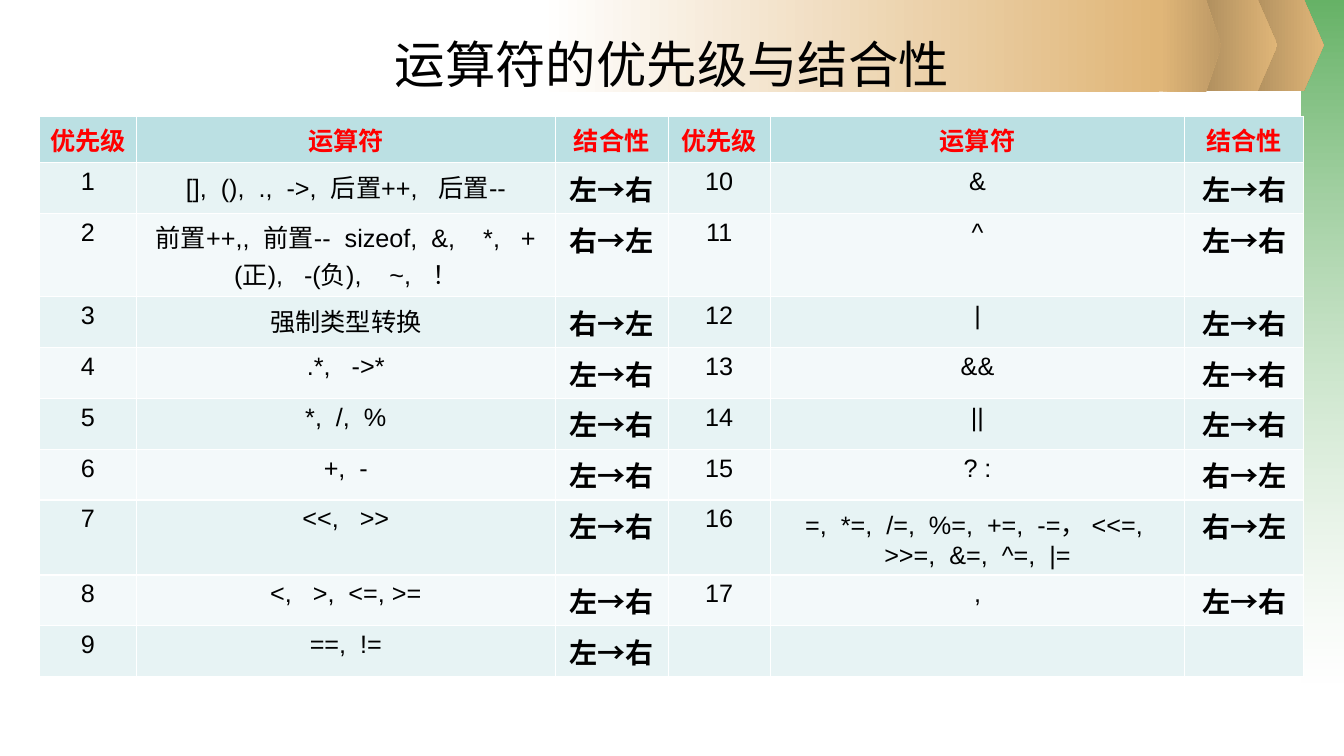
from lxml.etree import SubElement
from pptx import Presentation
from pptx.dml.color import RGBColor
from pptx.enum.shapes import MSO_SHAPE
from pptx.enum.text import MSO_ANCHOR, PP_ALIGN
from pptx.oxml.ns import qn
from pptx.util import Pt

BLACK = RGBColor(0x00, 0x00, 0x00)
WHITE = RGBColor(0xFF, 0xFF, 0xFF)
RED = RGBColor(0xFF, 0x00, 0x00)
GREEN = RGBColor(0x33, 0x99, 0x33)
GOLD = RGBColor(0xE0, 0xB6, 0x78)
DARK_GOLD = RGBColor(0xBD, 0x99, 0x65)
BROWN = RGBColor(0xAB, 0x8B, 0x5C)
HEADER_FILL = RGBColor(0xBB, 0xE0, 0xE3)
BAND_FILLS = [RGBColor(0xF3, 0xF9, 0xFA), RGBColor(0xE7, 0xF3, 0xF4)]


def write_text(text_frame, text, size=18, color=BLACK, bold=False):
    paragraph = text_frame.paragraphs[0]
    paragraph.alignment = PP_ALIGN.CENTER
    run = paragraph.add_run()
    run.text = text
    run.font.name = "Arial"
    run.font.size = Pt(size)
    run.font.bold = bold
    run.font.color.rgb = color


def add_gradient_shape(kind, left, top, width, height, colors, angle=0, opacities=()):
    shape = slide.shapes.add_shape(kind, Pt(left), Pt(top), Pt(width), Pt(height))
    shape.shadow.inherit = False
    shape.line.fill.background()
    shape.fill.gradient()
    shape.fill.gradient_angle = angle
    for stop, color, position in zip(shape.fill.gradient_stops, colors, (0, 1)):
        stop.color.rgb = color
        stop.position = position
    for color_element, opacity in zip(shape.element.spPr.iter(qn("a:srgbClr")), opacities):
        SubElement(color_element, qn("a:alpha"), val=str(opacity * 1000))
    if kind == MSO_SHAPE.PENTAGON:
        shape.adjustments[0] = 0.25


presentation = Presentation()
presentation.slide_width = Pt(960)
presentation.slide_height = Pt(540)
slide = presentation.slides.add_slide(presentation.slide_layouts[5])

# Side strip and banner of arrows
add_gradient_shape(MSO_SHAPE.RECTANGLE, 930, 0, 30, 487.5, (GREEN, WHITE),
                   angle=270, opacities=(75, 37))
for arrow_left in (888.5, 855.5):
    add_gradient_shape(MSO_SHAPE.PENTAGON, arrow_left, -0.5, 57, 65.5, (BROWN, GOLD))
add_gradient_shape(MSO_SHAPE.RECTANGLE, 386, 0, 442, 65.5, (WHITE, GOLD))
add_gradient_shape(MSO_SHAPE.PENTAGON, 828, 0, 44.5, 65.5, (GOLD, DARK_GOLD))

# Title, brought in front of the banner
title = slide.shapes.title
title.left, title.top, title.width, title.height = Pt(48), Pt(20), Pt(864), Pt(90)
title.text_frame.vertical_anchor = MSO_ANCHOR.TOP
write_text(title.text_frame, "运算符的优先级与结合性", size=36)
slide.shapes.element.append(title.element)

# Operator table: two blocks of three columns, nine levels each
HEADINGS = ["优先级", "运算符", "结合性"]
COLUMN_WIDTHS = [69, 299.5, 80.5, 73, 296, 85]
ROW_HEIGHTS = [33, 36.3, 59.4, 36.3, 36.3, 36.3, 36.3, 53.6, 36.3, 36.3]
LEVELS_PER_BLOCK = 9
LEFT_TO_RIGHT = "左→右"
RIGHT_TO_LEFT = "右→左"
OPERATORS = [
    ("[],  (),  .,  ->,  后置++,   后置--", LEFT_TO_RIGHT),
    ("前置++,,  前置--  sizeof,  &,    *,   +(正),   -(负),    ~,   ！", RIGHT_TO_LEFT),
    ("强制类型转换", RIGHT_TO_LEFT),
    (".*,   ->*", LEFT_TO_RIGHT),
    ("*,  /,  %", LEFT_TO_RIGHT),
    ("+,  -", LEFT_TO_RIGHT),
    ("<<,   >>", LEFT_TO_RIGHT),
    ("<,   >,  <=, >=", LEFT_TO_RIGHT),
    ("==,  !=", LEFT_TO_RIGHT),
    ("&", LEFT_TO_RIGHT),
    ("^", LEFT_TO_RIGHT),
    ("|", LEFT_TO_RIGHT),
    ("&&", LEFT_TO_RIGHT),
    ("||", LEFT_TO_RIGHT),
    ("? :", RIGHT_TO_LEFT),
    ("=,  *=,  /=,  %=,  +=,  -=， <<=,  >>=,  &=,  ^=,  |=", RIGHT_TO_LEFT),
    (",", LEFT_TO_RIGHT),
]

table = slide.shapes.add_table(
    len(ROW_HEIGHTS), len(COLUMN_WIDTHS), Pt(28.3), Pt(83),
    Pt(sum(COLUMN_WIDTHS)), Pt(sum(ROW_HEIGHTS))).table
for column, width in zip(table.columns, COLUMN_WIDTHS):
    column.width = Pt(width)
for row_index, (row, height) in enumerate(zip(table.rows, ROW_HEIGHTS)):
    row.height = Pt(height)
    for cell in row.cells:
        cell.fill.solid()
        cell.fill.fore_color.rgb = BAND_FILLS[row_index % 2] if row_index else HEADER_FILL

for column_index, heading in enumerate(HEADINGS * 2):
    write_text(table.cell(0, column_index).text_frame, heading, color=RED, bold=True)
for index, (operators, direction) in enumerate(OPERATORS):
    block, row_index = divmod(index, LEVELS_PER_BLOCK)
    level_cell, operator_cell, direction_cell = [
        table.cell(row_index + 1, block * len(HEADINGS) + offset) for offset in range(3)]
    write_text(level_cell.text_frame, str(index + 1))
    write_text(operator_cell.text_frame, operators)
    write_text(direction_cell.text_frame, direction, size=20, bold=True)

presentation.save("out.pptx")
